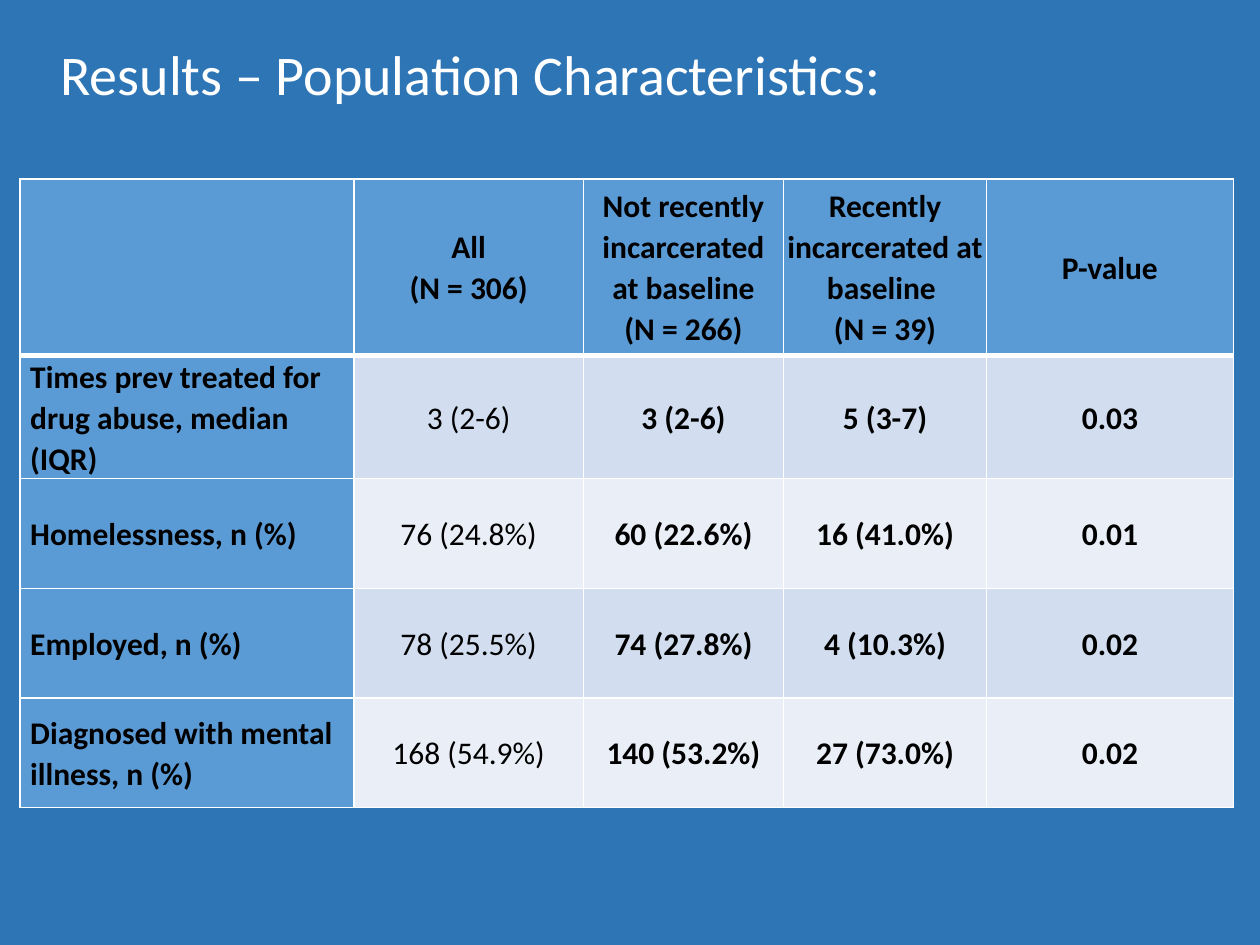
from pptx import Presentation
from pptx.dml.color import RGBColor as RGB
from pptx.enum.text import MSO_ANCHOR as Anchor, MSO_AUTO_SIZE as AutoSize, PP_ALIGN as Align
from pptx.oxml.ns import qn
from pptx.util import Inches, Pt
from lxml.etree import SubElement

COLORS = {
    "background": "2E75B6",
    "header": "5B9BD5",
    "odd": "D2DEEF",
    "even": "EAEFF7",
    "light": "FFFFFF",
    "dark": "000000",
}
GRID_COLUMNS, GRID_ROWS = 100, 75

TITLE = "Results – Population Characteristics:"
ROWS = [
    ["", "All\n(N = 306)", "Not recently incarcerated at baseline\n(N = 266)",
     "Recently incarcerated at baseline \n(N = 39)", "P-value"],
    ["Times prev treated for drug abuse, median (IQR)", "3 (2-6)", "3 (2-6)", "5 (3-7)", "0.03"],
    ["Homelessness, n (%)", "76 (24.8%)", "60 (22.6%)", "16 (41.0%)", "0.01"],
    ["Employed, n (%)", "78 (25.5%)", "74 (27.8%)", "4 (10.3%)", "0.02"],
    ["Diagnosed with mental illness, n (%)", "168 (54.9%)", "140 (53.2%)", "27 (73.0%)", "0.02"],
]
COLUMN_WIDTHS = [26.5, 18.2, 15.9, 16.1, 19.6]
ROW_HEIGHTS = [14] + [8.7] * 4


class SlideBuilder:
    """Holds the style and the current slide; lengths are grid columns and rows."""

    font = "Calibri"

    def __init__(self, deck):
        self.column = deck.slide_width / GRID_COLUMNS
        self.row = deck.slide_height / GRID_ROWS
        self.slide = deck.slides.add_slide(deck.slide_layouts[5])
        self.paint(self.slide.background.fill, "background")

    def paint(self, fill, color):
        fill.solid()
        fill.fore_color.rgb = RGB.from_string(COLORS[color])

    def place(self, left, top, width, height):
        return (int(left * self.column), int(top * self.row),
                int(width * self.column), int(height * self.row))

    def set_text(self, frame, text, size, color, align, bold=False, spacing=1.0):
        frame.text = text
        for para in frame.paragraphs:
            para.alignment = align
            para.line_spacing = spacing
            for span in para.runs:
                span.font.name = self.font
                span.font.size = Pt(size)
                span.font.bold = bold
                span.font.color.rgb = RGB.from_string(COLORS[color])

    def title(self, text, *area):
        box = self.slide.shapes.title
        box.left, box.top, box.width, box.height = self.place(*area)
        frame = box.text_frame
        frame.auto_size = AutoSize.NONE
        frame.word_wrap = True
        frame.vertical_anchor = Anchor.TOP
        self.set_text(frame, text, 32, "light", Align.LEFT)

    def table(self, rows, left, top, widths, heights):
        area = self.place(left, top, sum(widths), sum(heights))
        table = self.slide.shapes.add_table(len(rows), len(widths), *area).table
        for column, width in zip(table.columns, widths):
            column.width = int(width * self.column)
        for row, height in zip(table.rows, heights):
            row.height = int(height * self.row)
        for r, texts in enumerate(rows):
            for c, text in enumerate(texts):
                self.cell(table.cell(r, c), text, r, c)

    def cell(self, cell, text, r, c):
        header = r == 0
        cell.vertical_anchor = Anchor.MIDDLE
        cell.margin_left = cell.margin_right = Inches(0.03 if header else 0.08)
        cell.margin_top = cell.margin_bottom = 0
        self.borders(cell, top=3 if r == 1 else 1, bottom=3 if header else 1)
        self.paint(cell.fill, "header" if header or c == 0 else "odd" if r % 2 else "even")
        align = Align.LEFT if c == 0 else Align.CENTER
        self.set_text(cell.text_frame, text, 18, "dark", align, header or c != 1, 1.07)

    def borders(self, cell, top, bottom):
        """Draw the four cell edges; must come before the cell's fill."""
        properties = cell._tc.get_or_add_tcPr()
        for edge, width in (("lnL", 1), ("lnR", 1), ("lnT", top), ("lnB", bottom)):
            line = SubElement(properties, qn(f"a:{edge}"), w=str(Pt(width)))
            fill = SubElement(line, qn("a:solidFill"))
            SubElement(fill, qn("a:srgbClr"), val=COLORS["light"])


def main():
    deck = Presentation()
    deck.slide_width, deck.slide_height = Inches(10), Inches(7.5)
    builder = SlideBuilder(deck)
    builder.title(TITLE, 3.8, 2.6, 96.2, 6.4)
    builder.table(ROWS, 1.6, 14.2, COLUMN_WIDTHS, ROW_HEIGHTS)
    deck.save("out.pptx")


if __name__ == "__main__":
    main()
